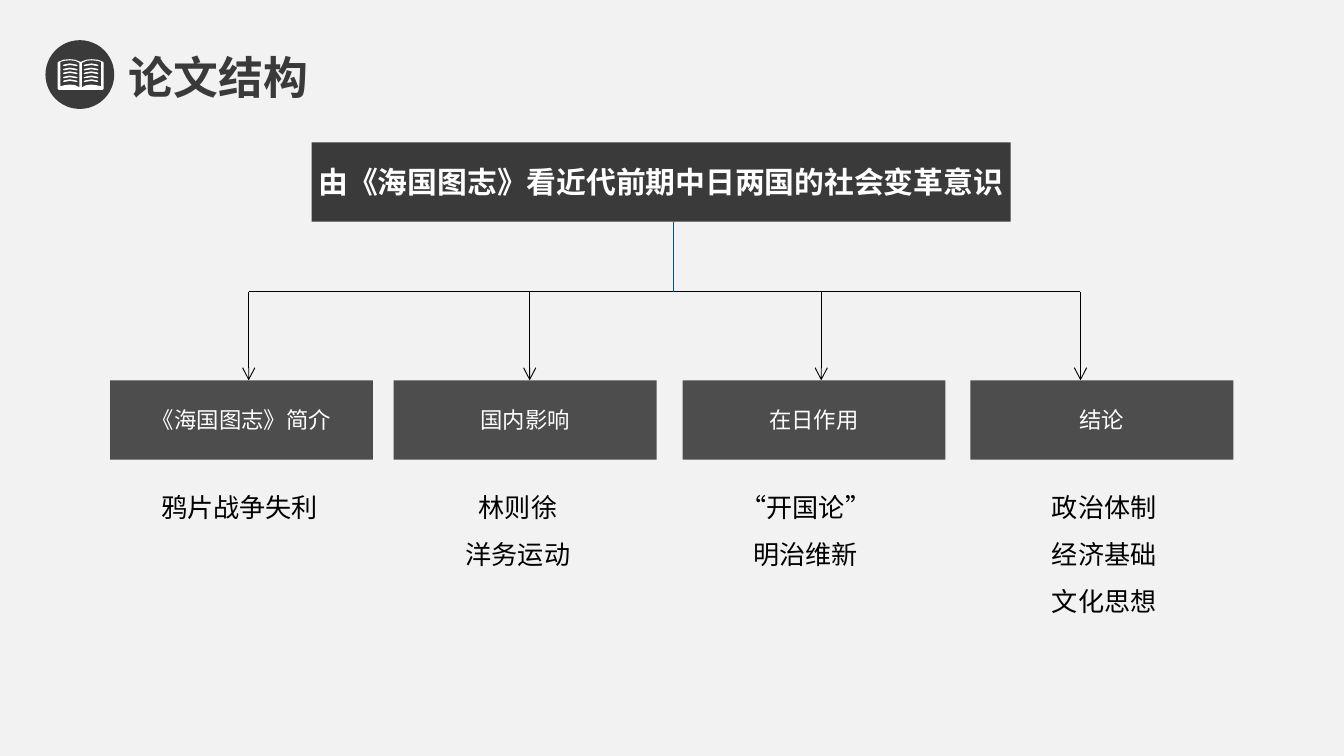
"""Build the thesis outline slide: a headline branching into four topics."""
from typing import NamedTuple

from lxml.etree import SubElement
from pptx import Presentation
from pptx.dml.color import RGBColor
from pptx.enum.shapes import MSO_CONNECTOR, MSO_SHAPE
from pptx.enum.text import MSO_ANCHOR, MSO_AUTO_SIZE, PP_ALIGN
from pptx.oxml.ns import qn
from pptx.util import Cm, Pt

COLORS = {"paper": "F2F2F2", "dark": "3A3A3A", "card": "4D4D4D",
          "white": "FFFFFF", "black": "000000", "trunk": "00508A"}
ASIAN = "Noto Sans CJK SC"
FRAME = {"auto_size": MSO_AUTO_SIZE.NONE, "word_wrap": True,
         "vertical_anchor": MSO_ANCHOR.MIDDLE}
CENTER = {"alignment": PP_ALIGN.CENTER}
NOTE = {"alignment": PP_ALIGN.CENTER, "line_spacing": Pt(25.2),
        "space_before": Pt(0)}
FONTS = {"title": {"size": Pt(24), "bold": True, "name": "Arial"},
         "head": {"size": Pt(16), "bold": True, "name": ASIAN},
         "card": {"size": Pt(12), "bold": False, "name": ASIAN},
         "note": {"size": Pt(14), "bold": False, "name": ASIAN}}
BUS, CARD_TOP, CARD_H = 5.51, 7.19, 1.5


class Box(NamedTuple):
    """Hold a place and size in centimetres."""
    left: float
    top: float
    width: float
    height: float


class Topic(NamedTuple):
    """Hold one branch: its label, notes and horizontal places."""
    label: str
    notes: tuple[str, ...]
    card: float
    stem: float
    note: float


TOPICS = (
    Topic("《海国图志》简介", ("鸦片战争失利",), 2.08, 4.7, 1.9),
    Topic("国内影响", ("林则徐", "洋务运动"), 7.44, 10.01, 7.16),
    Topic("在日作用", ("“开国论”", "明治维新"), 12.9, 15.52, 12.6),
    Topic("结论", ("政治体制", "经济基础", "文化思想"), 18.34, 20.42, 18.24),
)
COVER = [(152, 117), (142, 113), (132, 112), (120, 113), (110, 117),
         (109, 119), (109, 168), (111, 170), (152, 170)]
PAGE = [(150, 119), (142, 115), (132, 114), (122, 115), (114, 117),
        (114, 163), (123, 161), (132, 160), (142, 161), (150, 165)]
ROW = [(119, 124), (121, 122), (132, 120), (144, 122), (147, 124),
       (145, 125), (132, 123), (121, 125)]


def color(name: str) -> RGBColor:
    """Look up a named colour."""
    return RGBColor.from_string(COLORS[name])


def apply(target, values: dict) -> None:
    """Set each attribute in values on target."""
    for key, value in values.items():
        setattr(target, key, value)


def write(shape, lines: tuple[str, ...], font: str, tint: str,
          layout: dict, **frame) -> None:
    """Fill a shape with formatted paragraphs."""
    text = shape.text_frame
    apply(text, FRAME | frame)
    for index, line in enumerate(lines):
        para = text.paragraphs[0] if index == 0 else text.add_paragraph()
        props = para._p.get_or_add_pPr()
        apply(para, layout)
        props.set("marL", "0")
        props.set("indent", "0")
        SubElement(props, qn("a:buNone"))
        run = para.add_run()
        run.text = line
        run.font.color.rgb = color(tint)
        apply(run.font, FONTS[font])
        SubElement(run._r.get_or_add_rPr(), qn("a:ea"), typeface=ASIAN)


def place(shape, box: Box) -> None:
    """Move and size a placeholder."""
    apply(shape, {key: Cm(value) for key, value in box._asdict().items()})


def paint(shape, tint: str) -> None:
    """Give a shape a flat fill without line or shadow."""
    shape.shadow.inherit = False
    shape.fill.solid()
    shape.fill.fore_color.rgb = color(tint)
    shape.line.fill.background()


def block(slide, kind: MSO_SHAPE, box: Box, tint: str):
    """Add a flat preset shape."""
    shape = slide.shapes.add_shape(kind, *map(Cm, box))
    paint(shape, tint)
    return shape


def link(slide, start: tuple, end: tuple, tint: str = "black",
         arrow: bool = False) -> None:
    """Draw a thin straight line, with an arrowhead if asked."""
    line = slide.shapes.add_connector(MSO_CONNECTOR.STRAIGHT,
                                      *map(Cm, start + end))
    line.line.color.rgb = color(tint)
    line.line.width = Pt(0.5)
    props = line._element.spPr
    if arrow:
        SubElement(props.find(qn("a:ln")), qn("a:tailEnd"), type="arrow")
    SubElement(props, qn("a:effectLst"))


def mirror(points: list) -> list:
    """Reflect points across the book's spine."""
    return [(305 - x, y) for x, y in points]


def outline(slide, *loops: list) -> None:
    """Draw closed loops as one white freeform."""
    pen = slide.shapes.build_freeform(*loops[0][0], scale=Cm(0.01))
    pen.add_line_segments(loops[0][1:])
    for loop in loops[1:]:
        pen.move_to(*loop[0])
        pen.add_line_segments(loop[1:])
    paint(pen.convert_to_shape(), "white")


def book(slide) -> None:
    """Draw the open book in its round badge."""
    block(slide, MSO_SHAPE.OVAL, Box(0.86, 0.76, 1.3, 1.3), "dark")
    outline(slide, COVER + mirror(COVER)[::-1], PAGE, mirror(PAGE))
    for step in range(5):
        row = [(x, y + 7.6 * step) for x, y in ROW]
        outline(slide, row)
        outline(slide, mirror(row))


def branch(slide, topic: Topic, holder) -> None:
    """Draw one topic with its arrow, card and notes."""
    link(slide, (topic.stem, BUS), (topic.stem, CARD_TOP), arrow=True)
    card = block(slide, MSO_SHAPE.RECTANGLE,
                 Box(topic.card, CARD_TOP, 4.97, CARD_H), "card")
    write(card, (topic.label,), "card", "white", CENTER, word_wrap=False)
    place(holder, Box(topic.note, 8.86, 5.26, 0.97 * len(topic.notes) + 0.05))
    write(holder, topic.notes, "note", "black", NOTE,
          vertical_anchor=MSO_ANCHOR.TOP)


def main() -> None:
    """Build and save the slide."""
    deck = Presentation()
    deck.slide_width, deck.slide_height = Cm(25.4), Cm(14.29)
    slide = deck.slides.add_slide(deck.slide_layouts.get_by_name("Comparison"))
    slide.background.fill.solid()
    slide.background.fill.fore_color.rgb = color("paper")
    title, *bodies = slide.placeholders
    place(title, Box(2.18, 0.79, 5.99, 1.3))
    write(title, ("论文结构",), "title", "dark", {"alignment": PP_ALIGN.LEFT})
    link(slide, (TOPICS[0].stem, BUS), (TOPICS[-1].stem, BUS))
    link(slide, (12.73, 4.19), (12.73, BUS), "trunk")
    head = block(slide, MSO_SHAPE.RECTANGLE, Box(5.89, 2.69, 13.21, CARD_H),
                 "dark")
    write(head, ("由《海国图志》看近代前期中日两国的社会变革意识",), "head",
          "white", CENTER, word_wrap=False)
    for topic, holder in zip(TOPICS, bodies):
        branch(slide, topic, holder)
    book(slide)
    deck.save("out.pptx")


if __name__ == "__main__":
    main()
